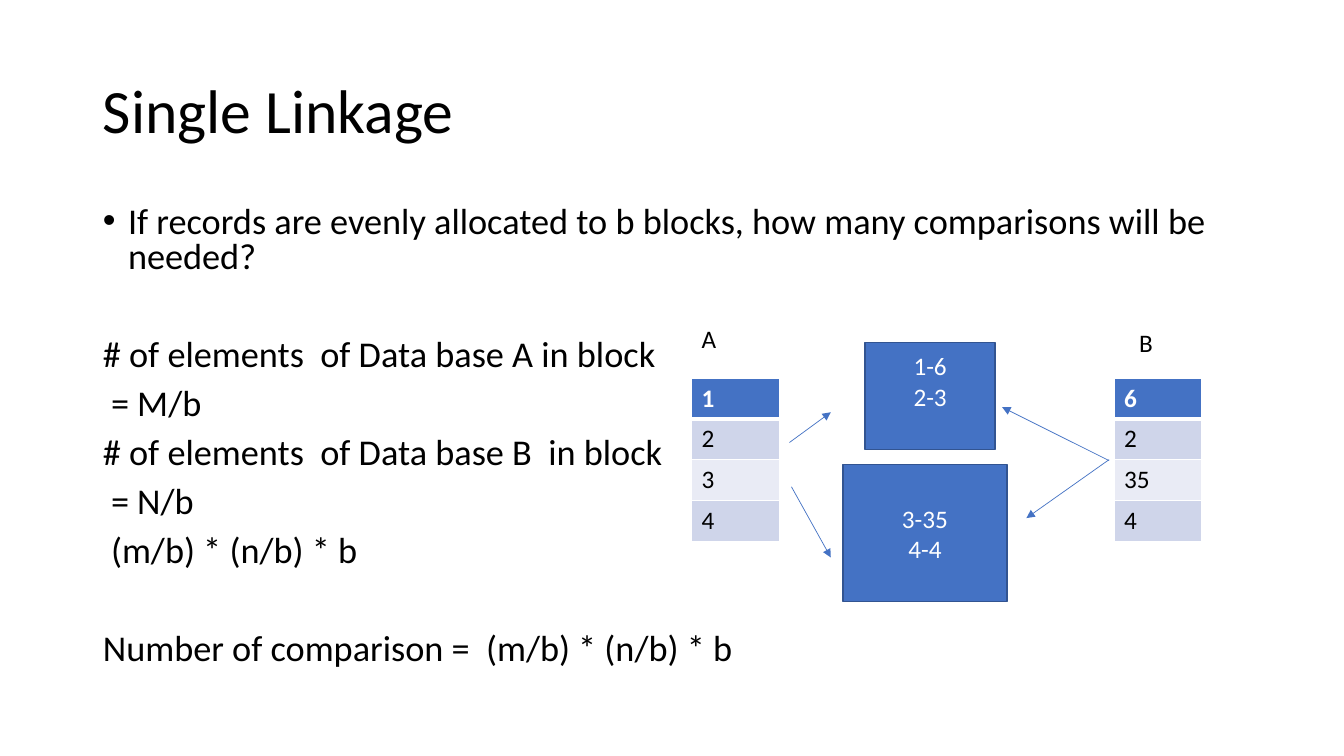
from dataclasses import dataclass

from lxml.etree import SubElement
from pptx import Presentation
from pptx.dml.color import RGBColor
from pptx.enum.shapes import MSO_CONNECTOR, MSO_SHAPE
from pptx.enum.text import MSO_ANCHOR, MSO_AUTO_SIZE, PP_ALIGN
from pptx.oxml.ns import qn
from pptx.slide import Slide
from pptx.table import _Cell
from pptx.text.text import TextFrame, _Paragraph
from pptx.util import Inches, Pt

FONT = "Calibri"
COLORS = {
    "text": "000000",
    "white": "FFFFFF",
    "accent": "4472C4",
    "outline": "325491",
    "band_dark": "CFD5EA",
    "band_light": "E9EBF5",
}
BODY_GAP = 10
BLANK_LINE = 35.3
ROW_HEIGHT = 0.405


@dataclass(frozen=True)
class BodyLine:
    text: str
    bullet: bool = False
    space_before: float = BODY_GAP


@dataclass(frozen=True)
class Database:
    name: str
    records: tuple[str, ...]
    table_left: float
    label_left: float
    label_top: float


@dataclass(frozen=True)
class Block:
    pairs: tuple[str, ...]
    left: float
    top: float
    width: float
    height: float
    bottom_inset: float = 0.05


@dataclass(frozen=True)
class Arrow:
    start: tuple[float, float]
    end: tuple[float, float]


BODY_LINES = (
    BodyLine("If records are evenly allocated to b blocks, how many comparisons will be needed?", bullet=True),
    BodyLine("# of elements  of Data base A in block", space_before=BODY_GAP + BLANK_LINE),
    BodyLine(" = M/b"),
    BodyLine("# of elements  of Data base B  in block"),
    BodyLine(" = N/b"),
    BodyLine(" (m/b) * (n/b) * b"),
    BodyLine("Number of comparison =  (m/b) * (n/b) * b", space_before=BODY_GAP + BLANK_LINE),
)
DATABASES = (
    Database("A", ("1", "2", "3", "4"), 6.86, 6.86, 3.16),
    Database("B", ("6", "2", "35", "4"), 11.05, 11.2, 3.2),
)
BLOCKS = (
    Block(("1-6", "2-3"), 8.58, 3.4, 1.29, 1.06, bottom_inset=0.35),
    Block(("3-35", "4-4"), 8.36, 4.61, 1.63, 1.36),
)
ARROWS = (
    Arrow((7.83, 4.39), (8.24, 4.09)),
    Arrow((11, 4.56), (10.18, 5.14)),
    Arrow((7.85, 4.83), (8.24, 5.53)),
    Arrow((11, 4.57), (9.94, 4.04)),
)


def rgb(name: str) -> RGBColor:
    return RGBColor.from_string(COLORS[name])


def write_text(
    frame: TextFrame,
    lines: tuple[str, ...],
    *,
    size: float = 18,
    color: str = "text",
    bold: bool = False,
    align: PP_ALIGN = PP_ALIGN.LEFT,
    line_spacing: float = 1.0,
) -> list[_Paragraph]:
    """Fill an empty frame with one paragraph per line and return them."""
    for index, line in enumerate(lines):
        paragraph = frame.add_paragraph() if index else frame.paragraphs[0]
        paragraph.alignment = align
        paragraph.line_spacing = line_spacing
        run = paragraph.add_run()
        run.text = line
        run.font.name = FONT
        run.font.size = Pt(size)
        run.font.bold = bold
        run.font.color.rgb = rgb(color)
    return list(frame.paragraphs)


def set_bullet(paragraph: _Paragraph, bullet: bool) -> None:
    properties = paragraph._p.get_or_add_pPr()
    indent = Inches(0.25) if bullet else 0
    properties.set("marL", str(indent))
    properties.set("indent", str(-indent))
    if bullet:
        SubElement(properties, qn("a:buFont"), typeface="Arial")
        SubElement(properties, qn("a:buChar"), char="•")
    else:
        SubElement(properties, qn("a:buNone"))


def fill_placeholders(slide: Slide) -> None:
    title, body = slide.placeholders
    for placeholder, top, height in ((title, 0.4, 1.45), (body, 2, 4.76)):
        placeholder.left, placeholder.top = Inches(0.92), Inches(top)
        placeholder.width, placeholder.height = Inches(11.5), Inches(height)
        placeholder.text_frame.auto_size = MSO_AUTO_SIZE.NONE
    title.text_frame.vertical_anchor = MSO_ANCHOR.MIDDLE
    write_text(title.text_frame, ("Single Linkage",), size=44, line_spacing=0.9)

    texts = tuple(line.text for line in BODY_LINES)
    paragraphs = write_text(body.text_frame, texts, size=25.9, line_spacing=0.8)
    for paragraph, line in zip(paragraphs, BODY_LINES):
        paragraph.space_before = Pt(line.space_before)
        set_bullet(paragraph, line.bullet)


def set_borders(cell: _Cell, top: float, bottom: float) -> None:
    properties = cell._tc.get_or_add_tcPr()
    widths = {"a:lnL": 1, "a:lnR": 1, "a:lnT": top, "a:lnB": bottom}
    for tag, width in widths.items():
        line = SubElement(properties, qn(tag), w=str(Pt(width)))
        fill = SubElement(line, qn("a:solidFill"))
        SubElement(fill, qn("a:srgbClr"), val=COLORS["white"])


def add_database(slide: Slide, database: Database) -> None:
    count = len(database.records)
    table = slide.shapes.add_table(
        count, 1, Inches(database.table_left), Inches(3.75), Inches(0.87), Inches(count * ROW_HEIGHT)
    ).table
    for row, record in enumerate(database.records):
        header = row == 0
        cell = table.cell(row, 0)
        set_borders(cell, top=3 if row == 1 else 1, bottom=3 if header else 1)
        band = "band_dark" if row % 2 else "band_light"
        cell.fill.solid()
        cell.fill.fore_color.rgb = rgb("accent" if header else band)
        write_text(cell.text_frame, (record,), color="white" if header else "text", bold=header)

    label = slide.shapes.add_textbox(
        Inches(database.label_left), Inches(database.label_top), Inches(0.69), Inches(0.4)
    )
    label.text_frame.word_wrap = True
    label.text_frame.auto_size = MSO_AUTO_SIZE.SHAPE_TO_FIT_TEXT
    write_text(label.text_frame, (database.name,))


def add_block(slide: Slide, block: Block) -> None:
    shape = slide.shapes.add_shape(
        MSO_SHAPE.RECTANGLE, Inches(block.left), Inches(block.top), Inches(block.width), Inches(block.height)
    )
    shape.shadow.inherit = False
    shape.fill.solid()
    shape.fill.fore_color.rgb = rgb("accent")
    shape.line.color.rgb = rgb("outline")
    shape.line.width = Pt(1)
    frame = shape.text_frame
    frame.vertical_anchor = MSO_ANCHOR.MIDDLE
    frame.margin_bottom = Inches(block.bottom_inset)
    write_text(frame, block.pairs, color="white", align=PP_ALIGN.CENTER)


def add_arrow(slide: Slide, arrow: Arrow) -> None:
    ends = [Inches(value) for value in arrow.start + arrow.end]
    connector = slide.shapes.add_connector(MSO_CONNECTOR.STRAIGHT, *ends)
    connector.line.color.rgb = rgb("accent")
    connector.line.width = Pt(0.5)
    SubElement(connector.line._get_or_add_ln(), qn("a:tailEnd"), type="triangle")
    SubElement(connector._element.spPr, qn("a:effectLst"))


def main() -> None:
    presentation = Presentation()
    presentation.slide_width, presentation.slide_height = Inches(13.33), Inches(7.5)
    slide = presentation.slides.add_slide(presentation.slide_layouts[1])
    fill_placeholders(slide)
    for database in DATABASES:
        add_database(slide, database)
    for block in BLOCKS:
        add_block(slide, block)
    for arrow in ARROWS:
        add_arrow(slide, arrow)
    presentation.save("out.pptx")


if __name__ == "__main__":
    main()
